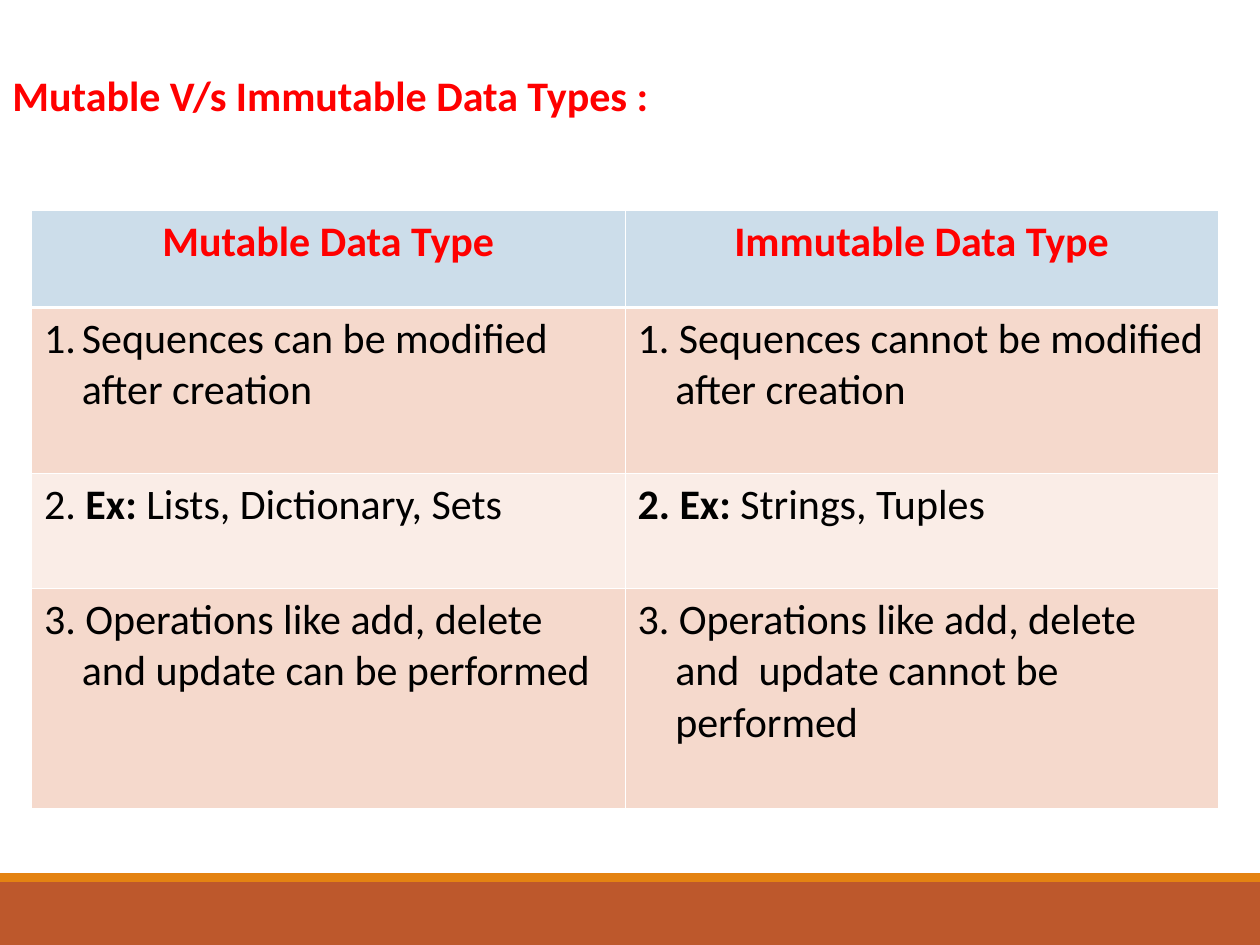
from dataclasses import dataclass

from lxml.etree import SubElement
from pptx import Presentation
from pptx.dml.color import RGBColor
from pptx.enum.shapes import MSO_SHAPE as Preset
from pptx.enum.text import PP_ALIGN as Align
from pptx.oxml.ns import qn
from pptx.util import Inches, Pt

RED, BLACK, WHITE = "FF0000", "000000", "FFFFFF"
THIN, THICK = 0.45, 1.47


@dataclass
class Span:
    text: str
    bold: bool = False
    color: str = BLACK


@dataclass
class Entry:
    spans: list[Span]
    hanging: float = 0
    numbered: bool = False
    centered: bool = False


@dataclass
class Row:
    height: float
    fill: str
    entries: list[Entry]
    top: float = THIN
    bottom: float = THIN


@dataclass
class Band:
    top: float
    height: float
    fill: str


def set_fill(target, color: str) -> None:
    target.fill.solid()
    target.fill.fore_color.rgb = RGBColor.from_string(color)


def add_spans(para, spans: list[Span]) -> None:
    for span in spans:
        run = para.add_run()
        run.text = span.text
        run.font.name = "Calibri"
        run.font.size = Pt(24)
        run.font.bold = span.bold
        run.font.color.rgb = RGBColor.from_string(span.color)


def set_borders(cell, row: Row) -> None:
    widths = {"a:lnL": THIN, "a:lnR": THIN, "a:lnT": row.top, "a:lnB": row.bottom}
    props = cell._tc.get_or_add_tcPr()
    for tag, width in widths.items():
        line = SubElement(props, qn(tag), w=str(Pt(width)))
        SubElement(SubElement(line, qn("a:solidFill")), qn("a:srgbClr"), val=WHITE)


def fill_cell(cell, row: Row, entry: Entry) -> None:
    set_borders(cell, row)
    set_fill(cell, row.fill)
    para = cell.text_frame.paragraphs[0]
    para.alignment = Align.CENTER if entry.centered else Align.LEFT
    props = para._p.get_or_add_pPr()
    if entry.hanging:
        props.set("marL", str(Inches(entry.hanging)))
        props.set("indent", str(-Inches(entry.hanging)))
    if entry.numbered:
        SubElement(props, qn("a:buFont"), typeface="+mj-lt")
        SubElement(props, qn("a:buAutoNum"), type="arabicPeriod")
    add_spans(para, entry.spans)


def heading(text: str) -> Entry:
    return Entry([Span(text, True, RED)], centered=True)


def point(text: str) -> Entry:
    return Entry([Span(text)], hanging=0.3)


deck = Presentation()
deck.slide_width, deck.slide_height = Inches(10), Inches(7.5)
page = deck.slides.add_slide(deck.slide_layouts[6])

# Footer bands
for band in (Band(7, 0.5, "BD582C"), Band(6.93, 0.07, "E48312")):
    strip = page.shapes.add_shape(
        Preset.RECTANGLE, 0, Inches(band.top), deck.slide_width, Inches(band.height))
    strip.shadow.inherit = False
    strip.line.fill.background()
    set_fill(strip, band.fill)

# Title
title = page.shapes.add_textbox(0, Inches(0.5), Inches(9.25), Inches(0.5))
title.text_frame.word_wrap = True
add_spans(title.text_frame.paragraphs[0],
          [Span("Mutable V/s Immutable Data Types :", True, RED)])

# Comparison table
ROWS = [
    Row(0.77, "CCDDEA", [heading("Mutable Data Type"), heading("Immutable Data Type")],
        bottom=THICK),
    Row(1.32, "F5D9CC", [
        Entry([Span("Sequences can be modified after creation")], 0.3, numbered=True),
        point("1. Sequences cannot be modified after creation")], top=THICK),
    Row(0.91, "FAEDE7", [
        Entry([Span("2. "), Span("Ex: ", True), Span("Lists, Dictionary, Sets")], 0.5),
        Entry([Span("2. Ex: ", True), Span("Strings, Tuples")])]),
    Row(1.75, "F5D9CC", [
        point("3. Operations like add, delete and update can be performed"),
        point("3. Operations like add, delete and  update cannot be performed")]),
]
table = page.shapes.add_table(
    len(ROWS), 2, Inches(0.25), Inches(1.67), Inches(9.42),
    Inches(sum(row.height for row in ROWS))).table
for column in table.columns:
    column.width = Inches(4.71)
for index, row in enumerate(ROWS):
    table.rows[index].height = Inches(row.height)
    for cell, entry in zip(table.rows[index].cells, row.entries):
        fill_cell(cell, row, entry)

deck.save("out.pptx")
